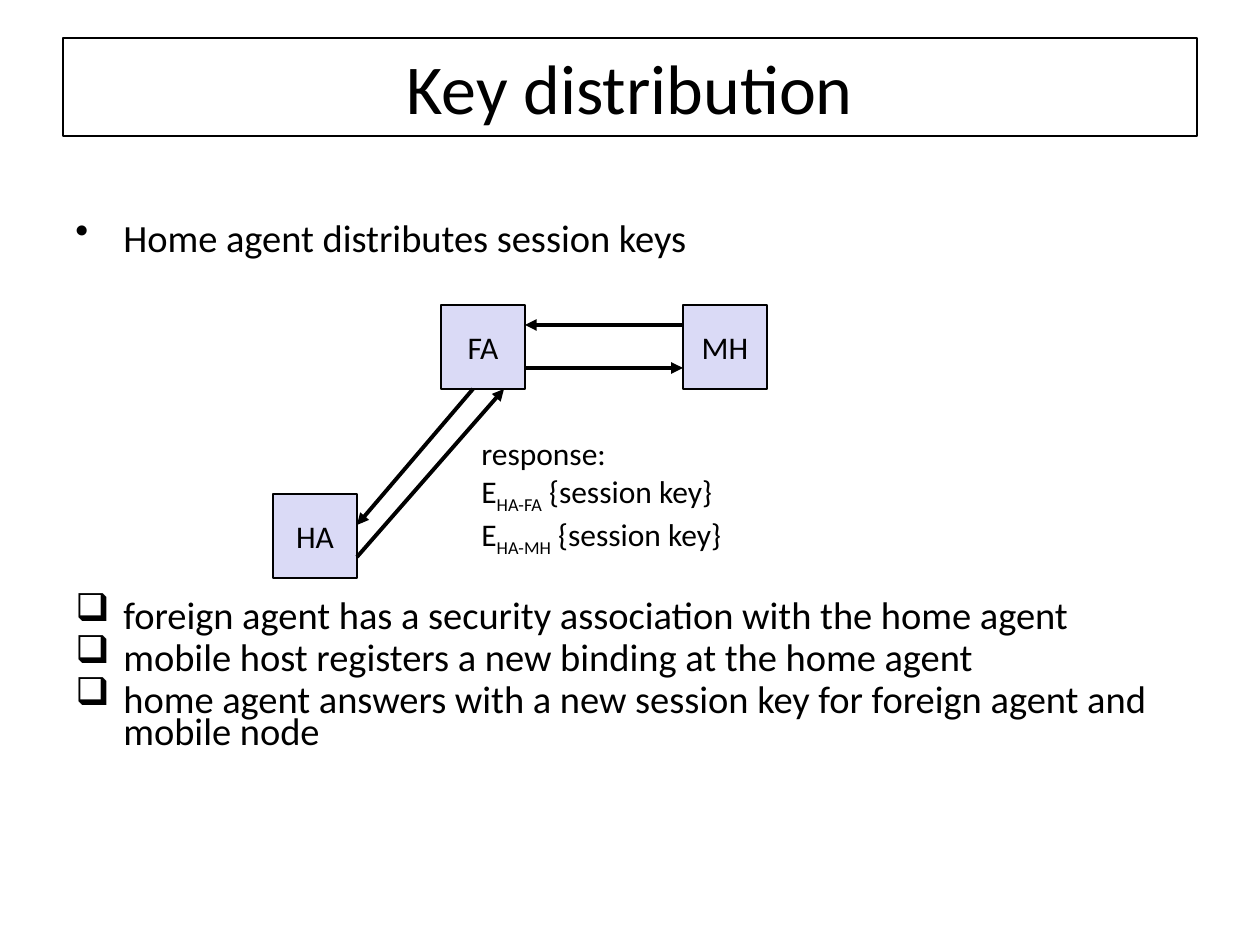
from lxml.etree import SubElement
from pptx import Presentation
from pptx.dml.color import RGBColor
from pptx.enum.shapes import MSO_CONNECTOR, MSO_SHAPE
from pptx.enum.text import MSO_ANCHOR, MSO_AUTO_SIZE, PP_ALIGN
from pptx.oxml.ns import qn
from pptx.util import Emu, Pt

PIXELS_PER_INCH = 126
FONT = "Calibri"
COLORS = {"black": "000000", "white": "FFFFFF", "node": "DADAF6"}
NODE_SIZE = 84
NODES = {"FA": (441, 305), "MH": (683, 305), "HA": (273, 494)}
MESSAGES = [
    ((473, 389), (357, 525)),
    ((357, 557), (504, 389)),
    ((683, 325), (525, 325)),
    ((525, 368), (683, 368)),
]
POINTS = [
    ("•", "Home agent distributes session keys", 5.5),
    ("❑", "foreign agent has a security association with the home agent", 197),
    ("❑", "mobile host registers a new binding at the home agent", 5.5),
    ("❑", "home agent answers with a new session key for foreign agent and mobile node", 5.5),
]
RESPONSE = [
    [("response:", 0)],
    [("E", 0), ("HA-FA", -25), (" {session key}", 0)],
    [("E", 0), ("HA-MH", -25), (" {session key}", 0)],
]


def px(length):
    """Convert pixels to EMU."""
    return Emu(round(length * 914400 / PIXELS_PER_INCH))


def color(name):
    """Look up a named colour."""
    return RGBColor.from_string(COLORS[name])


def place(shape, left, top, width, height):
    """Position and size a shape in pixels."""
    shape.left, shape.top = px(left), px(top)
    shape.width, shape.height = px(width), px(height)


def paint(shape, fill):
    """Give a shape a solid fill and a thin black outline."""
    shape.fill.solid()
    shape.fill.fore_color.rgb = color(fill)
    shape.line.color.rgb = color("black")
    shape.line.width = Pt(0.75)


def add_run(paragraph, text, size, baseline=0):
    """Append a formatted run, lowered when the baseline is negative."""
    run = paragraph.add_run()
    run.text = text
    run.font.name = FONT
    run.font.size = Pt(size)
    run.font.color.rgb = color("black")
    if baseline:
        run.font._element.set("baseline", str(baseline * 1000))


def get_paragraph(frame, index):
    """Return the first paragraph or append a new one."""
    return frame.add_paragraph() if index else frame.paragraphs[0]


def set_bullet(paragraph, character):
    """Give a paragraph a hanging bullet."""
    properties = paragraph._p.get_or_add_pPr()
    properties.set("marL", str(px(48)))
    properties.set("indent", str(px(-48)))
    bullet_color = SubElement(properties, qn("a:buClr"))
    SubElement(bullet_color, qn("a:srgbClr"), val=COLORS["black"])
    SubElement(properties, qn("a:buChar"), char=character)


def add_title(slide, text):
    """Fill and outline the title placeholder."""
    title = slide.shapes.title
    place(title, 63, 38, 1134, 98)
    paint(title, "white")
    title.text_frame.vertical_anchor = MSO_ANCHOR.MIDDLE
    paragraph = title.text_frame.paragraphs[0]
    paragraph.alignment = PP_ALIGN.CENTER
    add_run(paragraph, text, 40)


def add_points(slide):
    """Add the bulleted text, spaced to leave room for the diagram."""
    shape = slide.shapes.add_textbox(px(63), px(220), px(1134), px(624))
    frame = shape.text_frame
    frame.word_wrap = True
    for index, (bullet, text, space) in enumerate(POINTS):
        paragraph = get_paragraph(frame, index)
        paragraph.line_spacing = 0.7
        paragraph.space_before = Pt(space)
        set_bullet(paragraph, bullet)
        add_run(paragraph, text, 22)


def add_node(slide, name, left, top):
    """Add a square network node with its name."""
    node = slide.shapes.add_shape(
        MSO_SHAPE.RECTANGLE, px(left), px(top), px(NODE_SIZE), px(NODE_SIZE)
    )
    node.shadow.inherit = False
    paint(node, "node")
    frame = node.text_frame
    frame.word_wrap = False
    frame.vertical_anchor = MSO_ANCHOR.MIDDLE
    paragraph = frame.paragraphs[0]
    paragraph.alignment = PP_ALIGN.CENTER
    add_run(paragraph, name, 18)


def add_arrow(slide, start, end):
    """Add a straight arrow pointing at its end."""
    arrow = slide.shapes.add_connector(
        MSO_CONNECTOR.STRAIGHT, *map(px, start), *map(px, end)
    )
    arrow.line.color.rgb = color("black")
    arrow.line.width = Pt(2.25)
    SubElement(arrow.line._get_or_add_ln(), qn("a:tailEnd"), type="triangle")
    SubElement(arrow._element.spPr, qn("a:effectLst"))


def add_response(slide):
    """Add the response message with subscripted key names."""
    shape = slide.shapes.add_textbox(px(469), px(428), px(266), px(174))
    frame = shape.text_frame
    frame.word_wrap = False
    frame.auto_size = MSO_AUTO_SIZE.SHAPE_TO_FIT_TEXT
    for index, runs in enumerate(RESPONSE):
        paragraph = get_paragraph(frame, index)
        for text, baseline in runs:
            add_run(paragraph, text, 18, baseline)


def main():
    """Build and save the key distribution slide."""
    presentation = Presentation()
    presentation.slide_width, presentation.slide_height = px(1260), px(945)
    slide = presentation.slides.add_slide(presentation.slide_layouts[5])
    add_title(slide, "Key distribution")
    add_points(slide)
    for name, (left, top) in NODES.items():
        add_node(slide, name, left, top)
    for start, end in MESSAGES:
        add_arrow(slide, start, end)
    add_response(slide)
    presentation.save("out.pptx")


if __name__ == "__main__":
    main()
